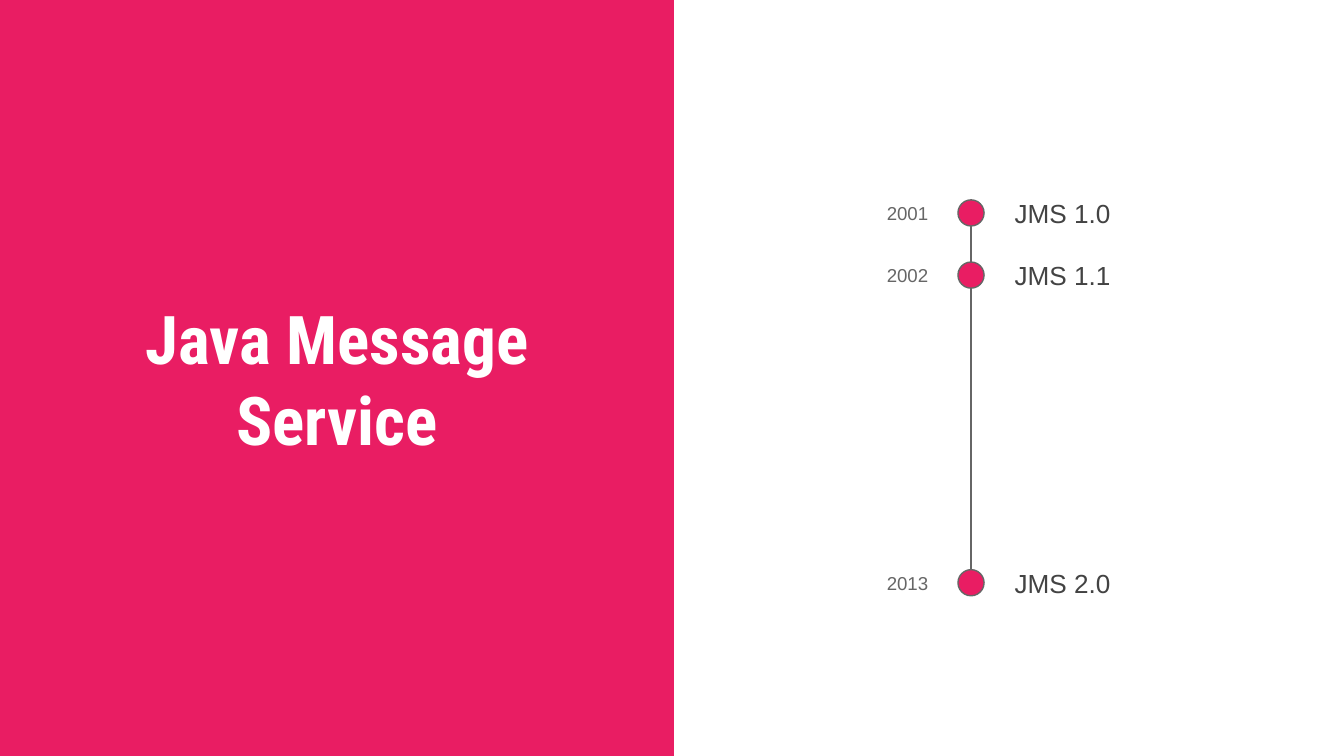
from pptx import Presentation
from pptx.dml.color import RGBColor
from pptx.enum.shapes import MSO_CONNECTOR as Connector, MSO_SHAPE as Shape
from pptx.enum.text import MSO_ANCHOR as Anchor, MSO_AUTO_SIZE as AutoSize, PP_ALIGN as Align
from pptx.oxml.ns import qn
from pptx.util import Pt

PINK = RGBColor(0xE9, 0x1D, 0x63)
WHITE = RGBColor(0xFF, 0xFF, 0xFF)
GRAY = RGBColor(0x66, 0x66, 0x66)
DARK = RGBColor(0x43, 0x43, 0x43)

WIDTH, HEIGHT = 720, 405
PANEL_WIDTH = 361
AXIS = 520.2
DOT = 14
LABEL_HEIGHT = 31
MILESTONES = [("2001", "JMS 1.0", 114.1), ("2002", "JMS 1.1", 147.4), ("2013", "JMS 2.0", 312.2)]


class SlideBuilder:
    heading_font = "Roboto Condensed"
    body_font = "Arial"
    inset = Pt(7.2)
    stroke = Pt(0.75)

    def __init__(self, page):
        self.page = page

    def set_text(self, box, text, font, size, color, anchor, align=Align.LEFT, bold=False):
        frame = box.text_frame
        frame.auto_size = AutoSize.NONE
        frame.word_wrap = True
        frame.vertical_anchor = anchor
        frame.margin_left = frame.margin_right = self.inset
        frame.margin_top = frame.margin_bottom = self.inset
        para = frame.paragraphs[0]
        para.alignment = align
        span = para.add_run()
        span.text = text
        span.font.name = font
        span.font.size = Pt(size)
        span.font.bold = bold
        span.font.color.rgb = color

    def shape(self, kind, left, top, width, height, outline=None):
        shape = self.page.shapes.add_shape(kind, Pt(left), Pt(top), Pt(width), Pt(height))
        shape.shadow.inherit = False
        shape.fill.solid()
        shape.fill.fore_color.rgb = PINK
        if outline is None:
            shape.line.fill.background()
        else:
            shape.line.color.rgb = outline
            shape.line.width = self.stroke

    def title(self, text, left, top, width, height):
        box = self.page.shapes.title
        box.left, box.top, box.width, box.height = Pt(left), Pt(top), Pt(width), Pt(height)
        box.element.getparent().append(box.element)
        self.set_text(box, text, self.heading_font, 36, WHITE, Anchor.MIDDLE, Align.CENTER, True)

    def label(self, text, left, center, width, size, color, anchor):
        top = center - LABEL_HEIGHT / 2
        box = self.page.shapes.add_textbox(Pt(left), Pt(top), Pt(width), Pt(LABEL_HEIGHT))
        self.set_text(box, text, self.body_font, size, color, anchor)

    def dot(self, center):
        self.shape(Shape.OVAL, AXIS - DOT / 2, center - DOT / 2, DOT, DOT, GRAY)

    def link(self, start, end):
        line = self.page.shapes.add_connector(
            Connector.STRAIGHT, Pt(AXIS), Pt(start + DOT / 2), Pt(AXIS), Pt(end - DOT / 2))
        line.line.color.rgb = GRAY
        line.line.width = self.stroke
        properties = line.element.spPr
        properties.append(properties.makeelement(qn("a:effectLst"), {}))


def main():
    deck = Presentation()
    deck.slide_width, deck.slide_height = Pt(WIDTH), Pt(HEIGHT)
    builder = SlideBuilder(deck.slides.add_slide(deck.slide_layouts[5]))

    builder.shape(Shape.RECTANGLE, 0, 0, PANEL_WIDTH, HEIGHT)
    builder.title("Java Message Service", 28.8, 43.9, 303.8, 317.5)

    for year, version, center in MILESTONES:
        builder.dot(center)
        builder.label(year, 468, center, 41, 10, GRAY, Anchor.MIDDLE)
        builder.label(version, 536.4, center, 85.7, 14, DARK, Anchor.TOP)

    for (_, _, start), (_, _, end) in zip(MILESTONES, MILESTONES[1:]):
        builder.link(start, end)

    deck.save("out.pptx")


if __name__ == "__main__":
    main()
